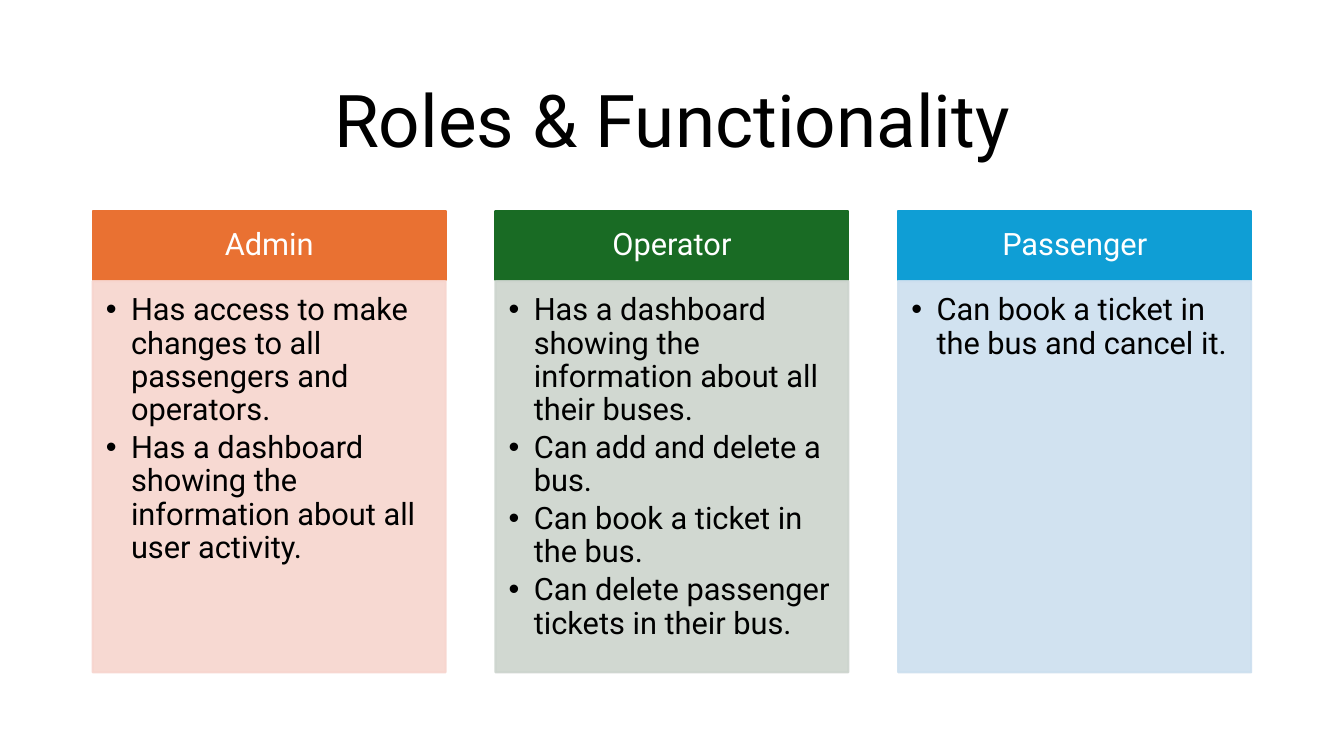
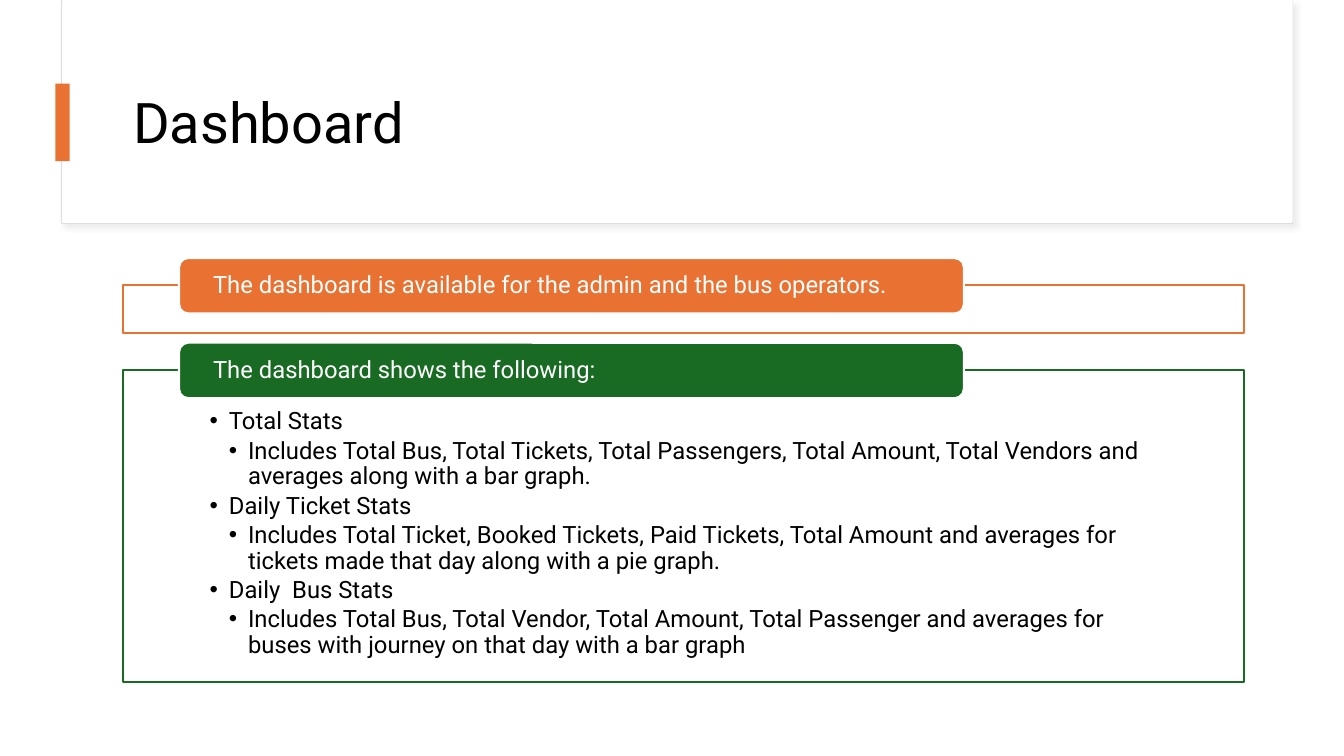
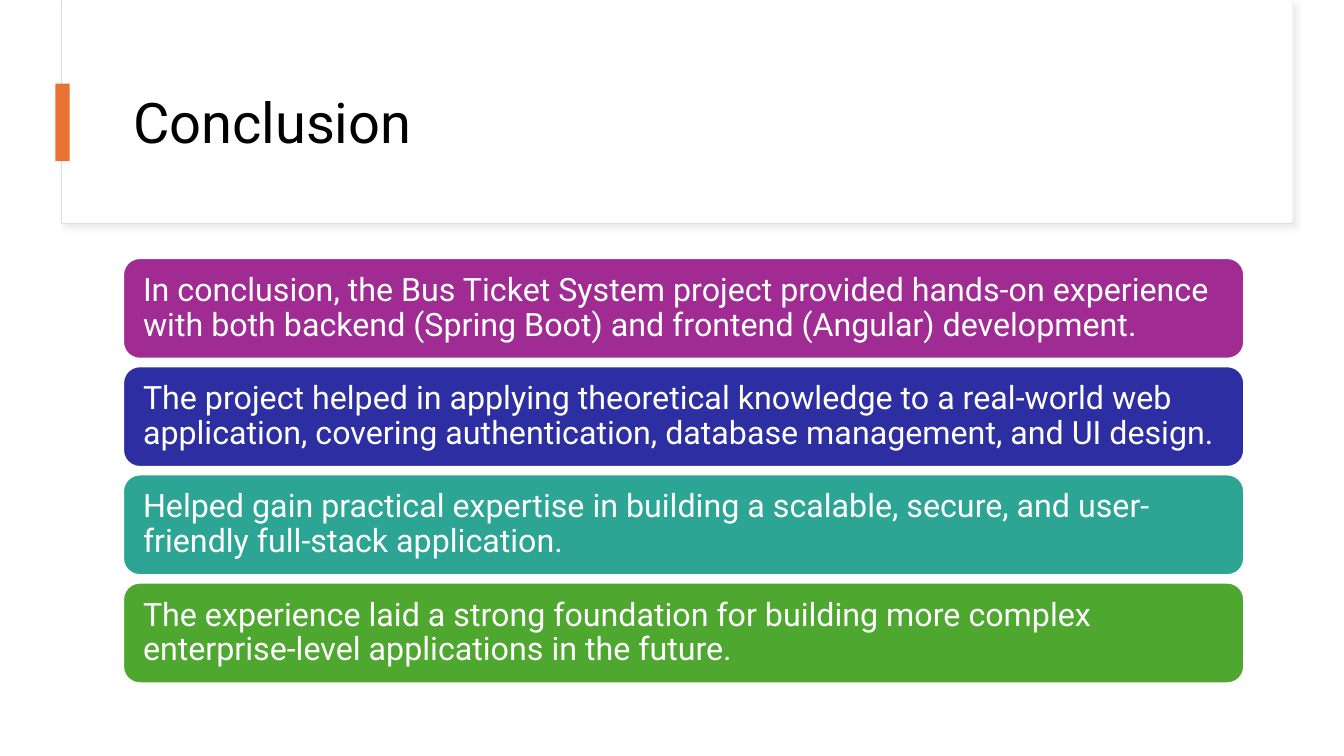
from lxml.etree import SubElement
from pptx import Presentation
from pptx.dml.color import RGBColor
from pptx.enum.shapes import MSO_SHAPE
from pptx.enum.text import MSO_ANCHOR, MSO_AUTO_SIZE, PP_ALIGN
from pptx.oxml.ns import qn
from pptx.util import Pt

PX = 9144
FONT = "Roboto"
BLACK, WHITE, ORANGE, GREEN, BLUE = "000000", "FFFFFF", "E97132", "196B24", "0F9ED5"
RECT, ROUND = MSO_SHAPE.RECTANGLE, MSO_SHAPE.ROUNDED_RECTANGLE
CONTENT = (122, 256, 1112, 422)

ROLES = [
    ("Admin", ORANGE, "F7D5CE", [
        "Has access to make changes to all passengers and operators.",
        "Has a dashboard showing the information about all user activity."]),
    ("Operator", GREEN, "CCD4CD", [
        "Has a dashboard showing the information about all their buses.",
        "Can add and delete a bus.",
        "Can book a ticket in the bus.",
        "Can delete passenger tickets in their bus."]),
    ("Passenger", BLUE, "CCDFEF", [
        "Can book a ticket in the bus and cancel it."]),
]
STATS = [
    (1, "Total Stats"),
    (2, "Includes Total Bus, Total Tickets, Total Passengers, Total Amount, "
        "Total Vendors and averages along with a bar graph."),
    (1, "Daily Ticket Stats"),
    (2, "Includes Total Ticket, Booked Tickets, Paid Tickets, Total Amount and "
        "averages for tickets made that day along with a pie graph."),
    (1, "Daily  Bus Stats"),
    (2, "Includes Total Bus, Total Vendor, Total Amount, Total Passenger and "
        "averages for buses with journey on that day with a bar graph"),
]
PANELS = [
    ("The dashboard is available for the admin and the bus operators.", ORANGE, 74, []),
    ("The dashboard shows the following:", GREEN, 337, STATS),
]
CONCLUSIONS = [
    ("A02B93", "In conclusion, the Bus Ticket System project provided hands-on experience "
               "with both backend (Spring Boot) and frontend (Angular) development."),
    ("2C2EA2", "The project helped in applying theoretical knowledge to a real-world web "
               "application, covering authentication, database management, and UI design."),
    ("2DA594", "Helped gain practical expertise in building a scalable, secure, and "
               "user-friendly full-stack application."),
    ("4EA72E", "The experience laid a strong foundation for building more complex "
               "enterprise-level applications in the future."),
]


def px(n):
    return round(n * PX)


def rgb(color):
    return RGBColor.from_string(color)


def apply(obj, **values):
    for name, value in values.items():
        setattr(obj, name, value)


def place(sp, box):
    apply(sp, **dict(zip(("left", "top", "width", "height"), map(px, box))))


def set_alpha(fill_format, percent):
    color = fill_format.fore_color
    clr = color._xFill.find(qn("a:srgbClr"))
    SubElement(clr, qn("a:alpha"), val=str(percent * 1000))


def add_box(s, box, fill, line=None, kind=RECT, weight=1.5, fill_alpha=100, line_alpha=100):
    sp = s.shapes.add_shape(kind, *map(px, box))
    sp.shadow.inherit = False
    sp.fill.solid()
    sp.fill.fore_color.rgb = rgb(fill)
    if fill_alpha < 100:
        set_alpha(sp.fill, fill_alpha)
    if line:
        sp.line.width = Pt(weight)
        sp.line.color.rgb = rgb(line)
        if line_alpha < 100:
            set_alpha(sp.line.fill, line_alpha)
    else:
        sp.line.fill.background()
    return sp


def write(sp, paras, size, color=WHITE, align=PP_ALIGN.LEFT, anchor=MSO_ANCHOR.MIDDLE,
          insets=(10, 5, 10, 5), step=0):
    tf = sp.text_frame
    left, top, right, bottom = map(px, insets)
    apply(tf, word_wrap=True, auto_size=MSO_AUTO_SIZE.NONE, vertical_anchor=anchor,
          margin_left=left, margin_top=top, margin_right=right, margin_bottom=bottom)
    for i, (level, text) in enumerate(paras):
        p = tf.paragraphs[0] if i == 0 else tf.add_paragraph()
        apply(p, alignment=align, line_spacing=0.9, space_before=Pt(0),
              space_after=Pt(0.15 * size if level else 0), level=level)
        r = p.add_run()
        r.text = text
        apply(r.font, name=FONT, size=Pt(size))
        r.font.color.rgb = rgb(color)
        if level:
            pPr = p._p.get_or_add_pPr()
            pPr.set("marL", str(px(level * step)))
            pPr.set("indent", str(px(-step)))
            SubElement(pPr, qn("a:buFont"), typeface="Arial")
            SubElement(pPr, qn("a:buChar"), char="•")


def add_title(s, text, box, size, align):
    title = s.shapes.title
    title.element.getparent().append(title.element)
    place(title, box)
    write(title, [(0, text)], size, BLACK, align)


def add_shadow(sp, color, alpha, blur, dist, angle):
    effects = sp._element.spPr.find(qn("a:effectLst"))
    shadow = SubElement(effects, qn("a:outerShdw"), blurRad=str(Pt(blur)),
                        dist=str(Pt(dist)), dir=str(angle * 60000))
    clr = SubElement(shadow, qn("a:srgbClr"), val=color)
    SubElement(clr, qn("a:alpha"), val=str(alpha * 1000))


def add_header(s, text, box=(62, 0, 1220, 220)):
    x, y, w, h = box
    frame = add_box(s, (x - 1, y + 1, w + 1, h + 1), WHITE, "DEDEDE", weight=0.75)
    add_shadow(frame, "D9D9D9", 50, 4, 3, 45)
    add_box(s, box, WHITE)
    add_title(s, text, (x + 60, y + 60, w - 108, 129), 40, PP_ALIGN.LEFT)
    add_box(s, (x - 7, y + 83, 14, 77), ORANGE)


def role_column(s, box, name, color, tint, duties):
    x, y, w, h = box
    head = 70
    write(add_box(s, (x, y, w, head - 1), color, color), [(0, name)], 22,
          align=PP_ALIGN.CENTER, insets=(17, 10, 17, 10))
    body = add_box(s, (x, y + head, w, h - head), tint, tint, fill_alpha=90, line_alpha=90)
    write(body, [(1, duty) for duty in duties], 22, BLACK, anchor=MSO_ANCHOR.TOP,
          insets=(13, 13, 17, 19), step=25)


def tab_panel(s, box, label, color, items):
    x, y, w, h = box
    tab = 55
    frame = add_box(s, (x, y + tab // 2, w, h - tab // 2), WHITE, color, fill_alpha=90)
    if items:
        write(frame, items, 17, BLACK, anchor=MSO_ANCHOR.TOP,
              insets=(86, 39, 86, 13), step=19)
    write(add_box(s, (x + w * 0.05, y, w * 0.7, tab), color, WHITE, ROUND),
          [(0, label)], 17, insets=(31, 0, 31, 0))


def roles_slide(s, box=(92, 209, 1149, 458), col=350):
    x, y, w, h = box
    add_title(s, "Roles & Functionality", (x, 61, w, 124), 52, PP_ALIGN.CENTER)
    step = (w - col) / (len(ROLES) - 1)
    for i, role in enumerate(ROLES):
        role_column(s, (x + i * step, y, col, h), *role)


def dashboard_slide(s, box=CONTENT, gap=10):
    x, y, w, _ = box
    add_header(s, "Dashboard")
    for label, color, h, items in PANELS:
        tab_panel(s, (x, y, w, h), label, color, items)
        y += h + gap


def conclusion_slide(s, box=CONTENT, bar=100):
    x, y, w, h = box
    add_header(s, "Conclusion")
    step = (h - bar) / (len(CONCLUSIONS) - 1)
    for i, (color, text) in enumerate(CONCLUSIONS):
        write(add_box(s, (x, y + i * step, w, bar), color, WHITE, ROUND),
              [(0, text)], 23, insets=(15, 10, 15, 10))


def main():
    prs = Presentation()
    apply(prs, slide_width=px(1333), slide_height=px(750))
    for build in (roles_slide, dashboard_slide, conclusion_slide):
        build(prs.slides.add_slide(prs.slide_layouts[5]))
    prs.save("out.pptx")


if __name__ == "__main__":
    main()
